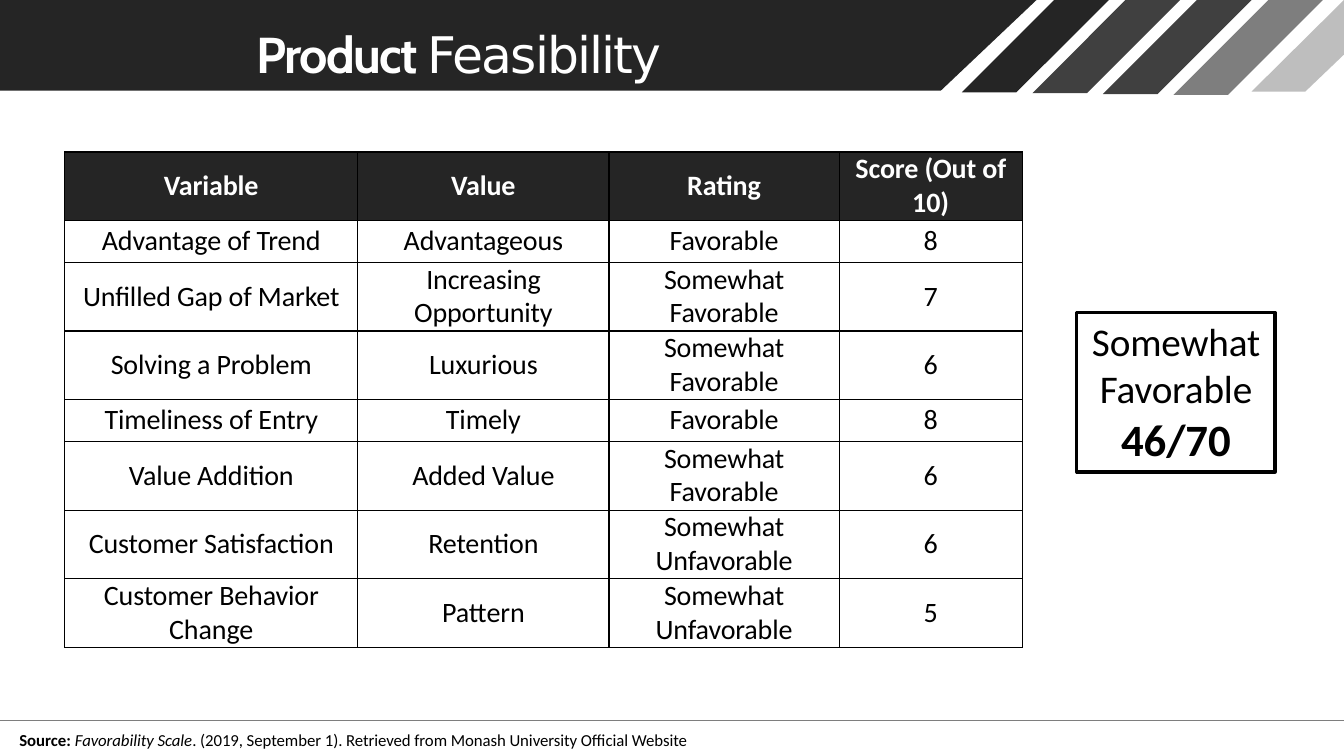
from lxml import etree
from pptx import Presentation
from pptx.dml.color import RGBColor
from pptx.enum.shapes import MSO_CONNECTOR, MSO_SHAPE
from pptx.enum.text import MSO_ANCHOR, PP_ALIGN
from pptx.oxml.ns import qn
from pptx.util import Inches, Pt

CENTER, LEFT = PP_ALIGN.CENTER, PP_ALIGN.LEFT
MIDDLE, TOP = MSO_ANCHOR.MIDDLE, MSO_ANCHOR.TOP
STRAIGHT, RECTANGLE = MSO_CONNECTOR.STRAIGHT, MSO_SHAPE.RECTANGLE
COLUMNS, ROWS = 160, 90
DARK, GREY, BLACK, WHITE = "252525", "7E7E7E", "000000", "FFFFFF"


def color(value):
    """Turn a hex string into a colour."""
    return RGBColor.from_string(value)


class Board:
    """Draw styled elements on a page divided into 160 columns and 90 rows."""

    font = "Calibri"

    def __init__(self, deck):
        """Add a blank page to the deck."""
        self.page = deck.slides.add_slide(deck.slide_layouts[6])
        self.column = deck.slide_width / COLUMNS
        self.row = deck.slide_height / ROWS

    def across(self, columns):
        """Convert columns to a length."""
        return round(columns * self.column)

    def down(self, rows):
        """Convert rows to a length."""
        return round(rows * self.row)

    def place(self, left, top, width, height):
        """Convert a grid area to lengths."""
        return self.across(left), self.down(top), self.across(width), self.down(height)

    def polygon(self, points, fill):
        """Draw a filled outline without a border."""
        corners = [(self.across(x), self.down(y)) for x, y in points]
        builder = self.page.shapes.build_freeform(*corners[0])
        builder.add_line_segments(corners[1:], close=True)
        shape = builder.convert_to_shape()
        shape.shadow.inherit = False
        shape.fill.solid()
        shape.fill.fore_color.rgb = color(fill)
        shape.line.fill.background()

    def rule(self, row, stroke, weight):
        """Draw a line across the page."""
        ends = self.across(0), self.down(row), self.across(COLUMNS), self.down(row)
        line = self.page.shapes.add_connector(STRAIGHT, *ends)
        line.line.color.rgb = color(stroke)
        line.line.width = Pt(weight)
        etree.SubElement(line._element.spPr, qn("a:effectLst"))

    def set_spans(self, frame, spans, fill, align=LEFT, inset=(0, 0, 0)):
        """Fill a text frame with one paragraph of styled spans."""
        frame.word_wrap = True
        frame.vertical_anchor = TOP
        frame.margin_left, frame.margin_top, frame.margin_right = map(self.across, inset)
        frame.margin_bottom = 0
        para = frame.paragraphs[0]
        para.alignment = align
        for words, size, style, spacing, *font in spans:
            span = para.add_run()
            span.text = words
            span.font.name = font[0] if font else self.font
            span.font.size = Pt(size)
            span.font.bold = style == "bold"
            span.font.italic = style == "italic"
            span.font.color.rgb = color(fill)
            span._r.get_or_add_rPr().set("spc", str(round(spacing * 100)))

    def text(self, area, spans, fill, inset):
        """Add a left-aligned text box."""
        box = self.page.shapes.add_textbox(*self.place(*area))
        self.set_spans(box.text_frame, spans, fill, inset=inset)

    def framed(self, area, spans, weight, inset):
        """Add a bordered rectangle with centred text."""
        box = self.page.shapes.add_shape(RECTANGLE, *self.place(*area))
        box.shadow.inherit = False
        box.fill.background()
        box.line.color.rgb = color(BLACK)
        box.line.width = Pt(weight)
        self.set_spans(box.text_frame, spans, BLACK, CENTER, inset)

    def border(self, cell):
        """Give a cell thin black borders."""
        props = cell._tc.get_or_add_tcPr()
        for index, side in enumerate(("a:lnL", "a:lnR", "a:lnT", "a:lnB")):
            line = etree.Element(qn(side), w=str(Pt(1)))
            fill = etree.SubElement(line, qn("a:solidFill"))
            etree.SubElement(fill, qn("a:srgbClr"), val=BLACK)
            props.insert(index, line)

    def table(self, left, top, widths, heights, records):
        """Add a centred table with a dark heading row."""
        area = self.place(left, top, sum(widths), sum(heights))
        table = self.page.shapes.add_table(len(records), len(widths), *area).table
        table.horz_banding = False
        for column, width in zip(table.columns, widths):
            column.width = self.across(width)
        for index, (row, height, record) in enumerate(zip(table.rows, heights, records)):
            row.height = self.down(height)
            heading = index == 0
            for cell, words in zip(row.cells, record):
                style = "bold" if heading else ""
                self.set_spans(cell.text_frame, [(words, 20, style, -0.1)],
                               WHITE if heading else BLACK, CENTER)
                cell.text_frame.paragraphs[0].line_spacing = Pt(24)
                cell.vertical_anchor = MIDDLE
                cell.margin_left = cell.margin_right = self.across(1.2)
                cell.margin_top = cell.margin_bottom = 0
                cell.fill.solid()
                cell.fill.fore_color.rgb = color(DARK if heading else WHITE)
                self.border(cell)


def main():
    """Build the feasibility page."""
    deck = Presentation()
    deck.slide_width, deck.slide_height = Inches(13.33), Inches(7.5)
    board = Board(deck)

    board.polygon([(123.4, 0), (0, 0), (0, 10.8), (112, 10.8)], DARK)
    stripes = [(11, DARK), (11.1, "404040"), (11.2, "404040"), (11.3, GREY)]
    for index, (depth, fill) in enumerate(stripes):
        head, foot = 125.5 + 8.5 * index, 114.5 + 8.4 * index
        board.polygon([(head + 6.5, 0), (head, 0), (foot, depth), (foot + 6.5, depth)], fill)
    board.polygon([(160, 0), (149, 10.9), (155.4, 10.9), (160, 6.5)], "BEBEBE")

    board.text((6.4, 2.4, 99.5, 7.8), [
        ("Product ", 36, "bold", -1.1, "Cabin"),
        ("Feasibility", 36, "", -1.3, "DejaVu Sans"),
    ], WHITE, (24.1, 0.3, 0))

    tall, short = 8.16, 5
    board.table(7.7, 18.1, (34.9, 29.9, 27.4, 21.8),
                (tall, short, tall, tall, short, tall, tall, tall), [
        ("Variable", "Value", "Rating", "Score (Out of 10)"),
        ("Advantage of Trend", "Advantageous", "Favorable", "8"),
        ("Unfilled Gap of Market", "Increasing Opportunity", "Somewhat Favorable", "7"),
        ("Solving a Problem", "Luxurious", "Somewhat Favorable", "6"),
        ("Timeliness of Entry", "Timely", "Favorable", "8"),
        ("Value Addition", "Added Value", "Somewhat Favorable", "6"),
        ("Customer Satisfaction", "Retention", "Somewhat Unfavorable", "6"),
        ("Customer Behavior Change", "Pattern", "Somewhat Unfavorable", "5"),
    ])

    board.framed((128.2, 37.2, 23.6, 19), [
        ("Somewhat Favorable ", 28, "", -0.1),
        ("46/70", 32, "bold", -0.1),
    ], 2.28, (1.2, 0.6, 1.2))

    board.rule(85.8, GREY, 0.72)
    board.text((2.2, 86.6, 80.6, 2.8), [
        ("Source: ", 12, "bold", 0),
        ("Favorability Scale", 12, "italic", -0.05),
        (". (2019, September 1). Retrieved from Monash University Official Website",
         12, "", -0.05),
    ], BLACK, (0.1, 0.3, 0))
    deck.save("out.pptx")


if __name__ == "__main__":
    main()
